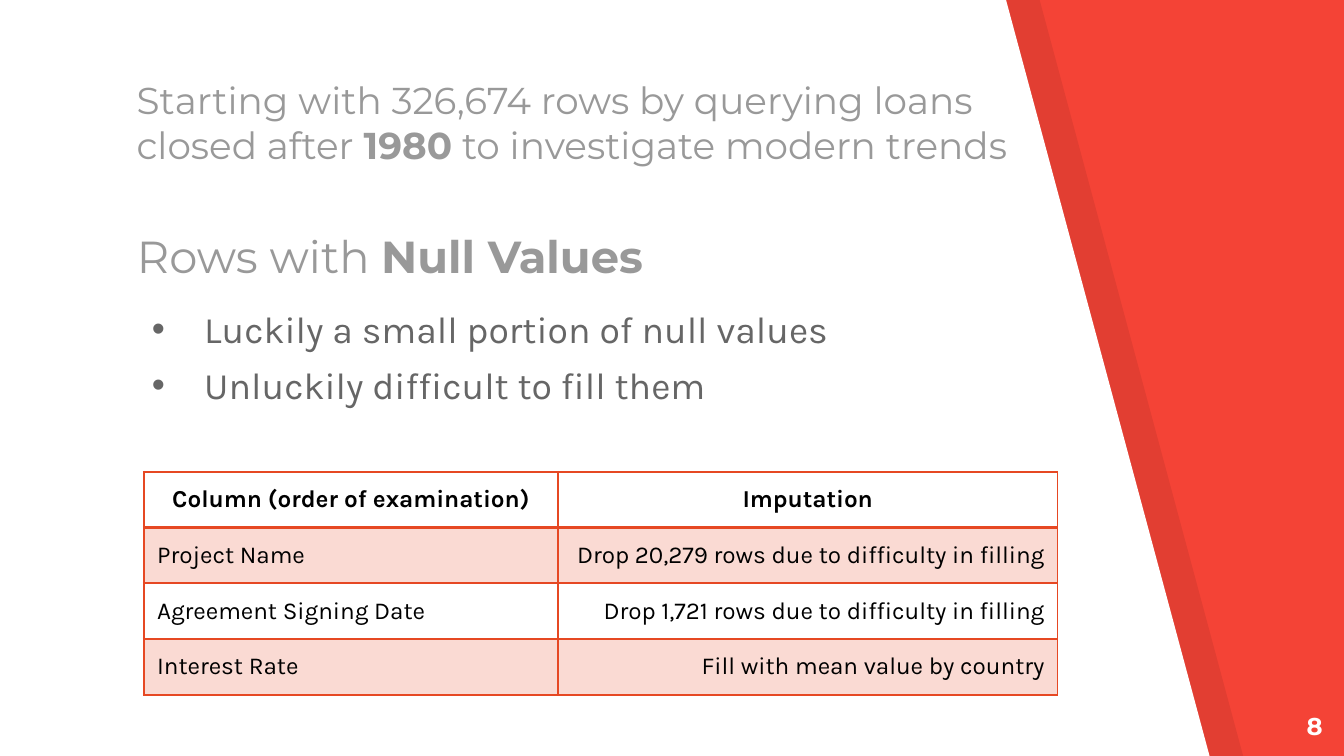
"""Build a slide on imputing null values, with a slanted panel and a table."""
from lxml.etree import SubElement
from pptx import Presentation
from pptx.dml.color import RGBColor
from pptx.enum.text import MSO_ANCHOR, MSO_AUTO_SIZE, PP_ALIGN
from pptx.oxml.ns import qn
from pptx.util import Pt


def color(hex_code):
    return RGBColor.from_string(hex_code)


class SlideBuilder:
    heading_font, text_font = "Montserrat", "Karla"
    red, orange, white, black = "F44336", "E64823", "FFFFFF", "000000"
    light_gray, dark_gray = "999999", "666666"

    def __init__(self, deck):
        self.slide = deck.slides.add_slide(deck.slide_layouts[1])
        self.slide.background.fill.solid()
        self.slide.background.fill.fore_color.rgb = color(self.red)

    def paint(self, fill, hex_code, opacity=100):
        fill.solid()
        fill.fore_color.rgb = color(hex_code)
        if opacity < 100:
            srgb = fill._xPr.find(qn("a:solidFill")).find(qn("a:srgbClr"))
            SubElement(srgb, qn("a:alpha"), val=str(opacity * 1000))

    def panel(self, left, hex_code, opacity=100):
        outline = self.slide.shapes.build_freeform(left, 0, scale=Pt(1))
        outline.add_line_segments([(left, 405), (left + 648, 405), (left + 539, 0)])
        panel = outline.convert_to_shape()
        self.paint(panel.fill, hex_code, opacity)
        panel.line.fill.background()
        panel.shadow.inherit = False
        panel.element.getparent().insert(2, panel.element)

    def style(self, paragraph, font, size, hex_code, align=PP_ALIGN.LEFT):
        paragraph.alignment = align
        for run in paragraph.runs:
            run.font.name = font
            run.font.size = Pt(size)
            run.font.color.rgb = color(hex_code)

    def frame(self, shape, box, anchor):
        shape.left, shape.top, shape.width, shape.height = map(Pt, box)
        frame = shape.text_frame
        frame.word_wrap = True
        frame.auto_size = MSO_AUTO_SIZE.NONE
        frame.vertical_anchor = anchor
        frame.margin_left = frame.margin_right = Pt(7.2)
        frame.margin_top = frame.margin_bottom = Pt(7.2)
        return frame

    def heading(self, shape, box, parts, size, hex_code,
                align=PP_ALIGN.LEFT, anchor=MSO_ANCHOR.BOTTOM):
        paragraph = self.frame(shape, box, anchor).paragraphs[0]
        for wording, bold in parts:
            run = paragraph.add_run()
            run.text = wording
            run.font.bold = bold
        self.style(paragraph, self.heading_font, size, hex_code, align)

    def title(self, box, parts, size):
        self.heading(self.slide.shapes.title, box, parts, size, self.light_gray)

    def label(self, box, parts, size, hex_code, **placing):
        self.heading(self.slide.shapes.add_textbox(*map(Pt, box)),
                     box, parts, size, hex_code, **placing)

    def bullets(self, box, points, size):
        frame = self.frame(self.slide.placeholders[1], box, MSO_ANCHOR.TOP)
        frame.text = "\n".join(points)
        for paragraph in frame.paragraphs:
            self.style(paragraph, self.text_font, size, self.dark_gray)
            paragraph.space_before = Pt(6)
            properties = paragraph._p.get_or_add_pPr()
            properties.set("marL", str(Pt(36)))
            properties.set("indent", str(Pt(-28)))
            SubElement(properties, qn("a:buChar"), char="•")

    def border(self, cell, side, width):
        edge = SubElement(cell._tc.get_or_add_tcPr(), qn(f"a:ln{side}"), w=str(Pt(width)))
        fill = SubElement(edge, qn("a:solidFill"))
        SubElement(fill, qn("a:srgbClr"), val=self.orange)

    def table(self, left, top, widths, row_height, rows):
        table = self.slide.shapes.add_table(
            len(rows), len(widths), Pt(left), Pt(top),
            Pt(sum(widths)), Pt(row_height * len(rows))).table
        table.first_row = table.horz_banding = False
        for column, width in zip(table.columns, widths):
            column.width = Pt(width)
        for r, row in enumerate(rows):
            table.rows[r].height = Pt(row_height)
            for c, wording in enumerate(row):
                cell = table.cell(r, c)
                cell.text = wording
                cell.vertical_anchor = MSO_ANCHOR.MIDDLE
                paragraph = cell.text_frame.paragraphs[0]
                body_align = PP_ALIGN.RIGHT if c else PP_ALIGN.LEFT
                self.style(paragraph, self.text_font, 13, self.black,
                           body_align if r else PP_ALIGN.CENTER)
                paragraph.runs[0].font.bold = r == 0
                for side in "LRTB":
                    under_header = (r, side) in ((0, "B"), (1, "T"))
                    self.border(cell, side, 2 if under_header else 1)
                if r % 2:
                    self.paint(cell.fill, self.orange, 20)
                else:
                    cell.fill.background()


def main():
    deck = Presentation()
    deck.slide_width, deck.slide_height = Pt(720), Pt(405)
    page = SlideBuilder(deck)
    page.panel(0, page.white)
    page.panel(18, page.black, 7)
    page.label((672.5, 373.7, 43.2, 31), [("8", True)], 13, page.white,
               align=PP_ALIGN.RIGHT, anchor=MSO_ANCHOR.TOP)
    page.title((66.2, 112.3, 463.7, 46), [("Rows with ", False), ("Null Values", True)], 24)
    page.bullets((66.2, 157, 448.6, 77.8), [
        "Luckily a small portion of null values",
        "Unluckily difficult to fill them",
    ], 20)
    page.table(77, 252.7, (221.8, 267.8), 29.9, [
        ("Column (order of examination)", "Imputation"),
        ("Project Name", "Drop 20,279 rows due to difficulty in filling"),
        ("Agreement Signing Date", "Drop 1,721 rows due to difficulty in filling"),
        ("Interest Rate", "Fill with mean value by country"),
    ])
    page.label((66.2, 50.4, 489.6, 46), [
        ("Starting with 326,674 rows by querying loans closed after ", False),
        ("1980", True),
        (" to investigate modern trends", False),
    ], 20, page.light_gray)
    deck.save("out.pptx")


if __name__ == "__main__":
    main()
